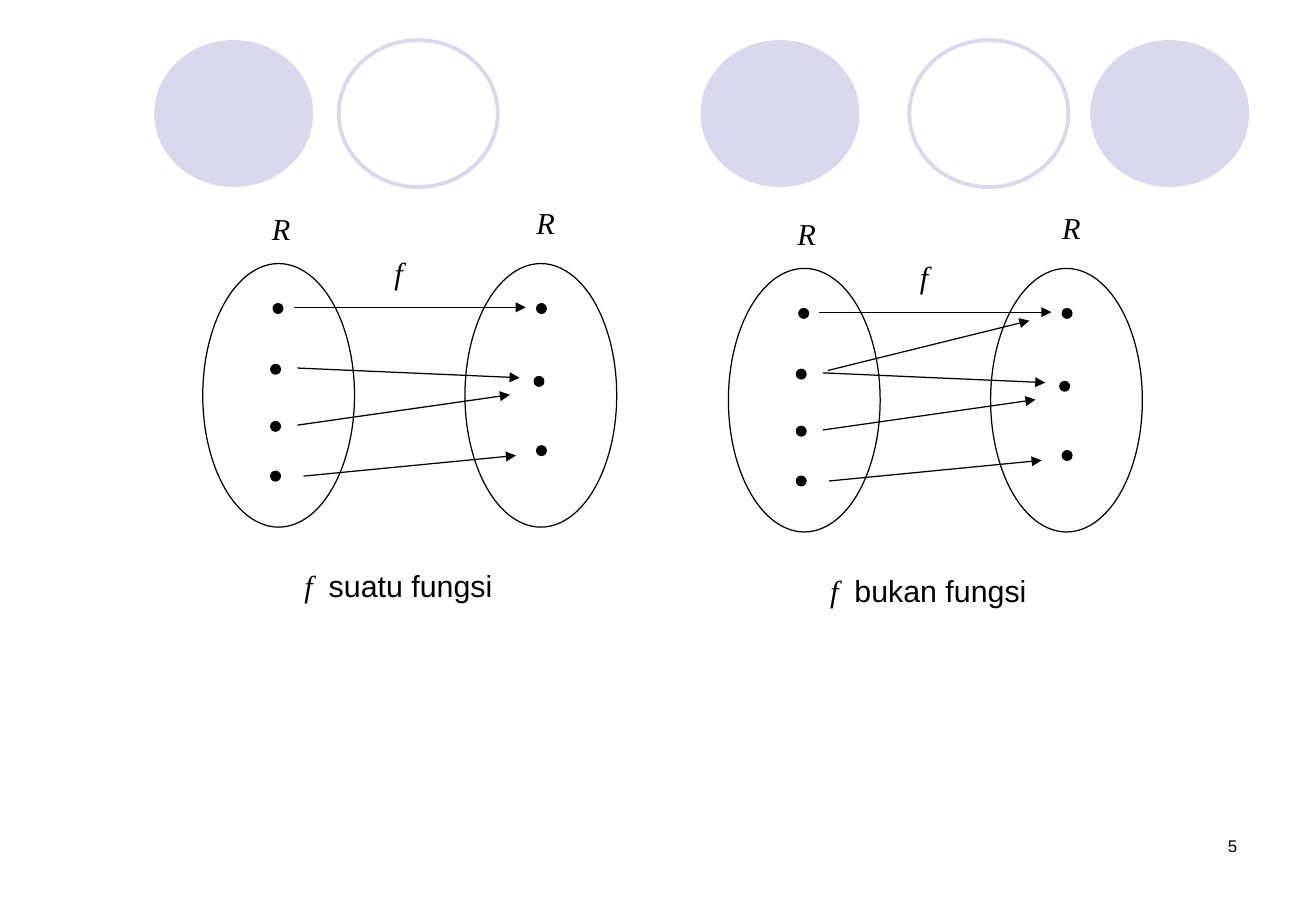
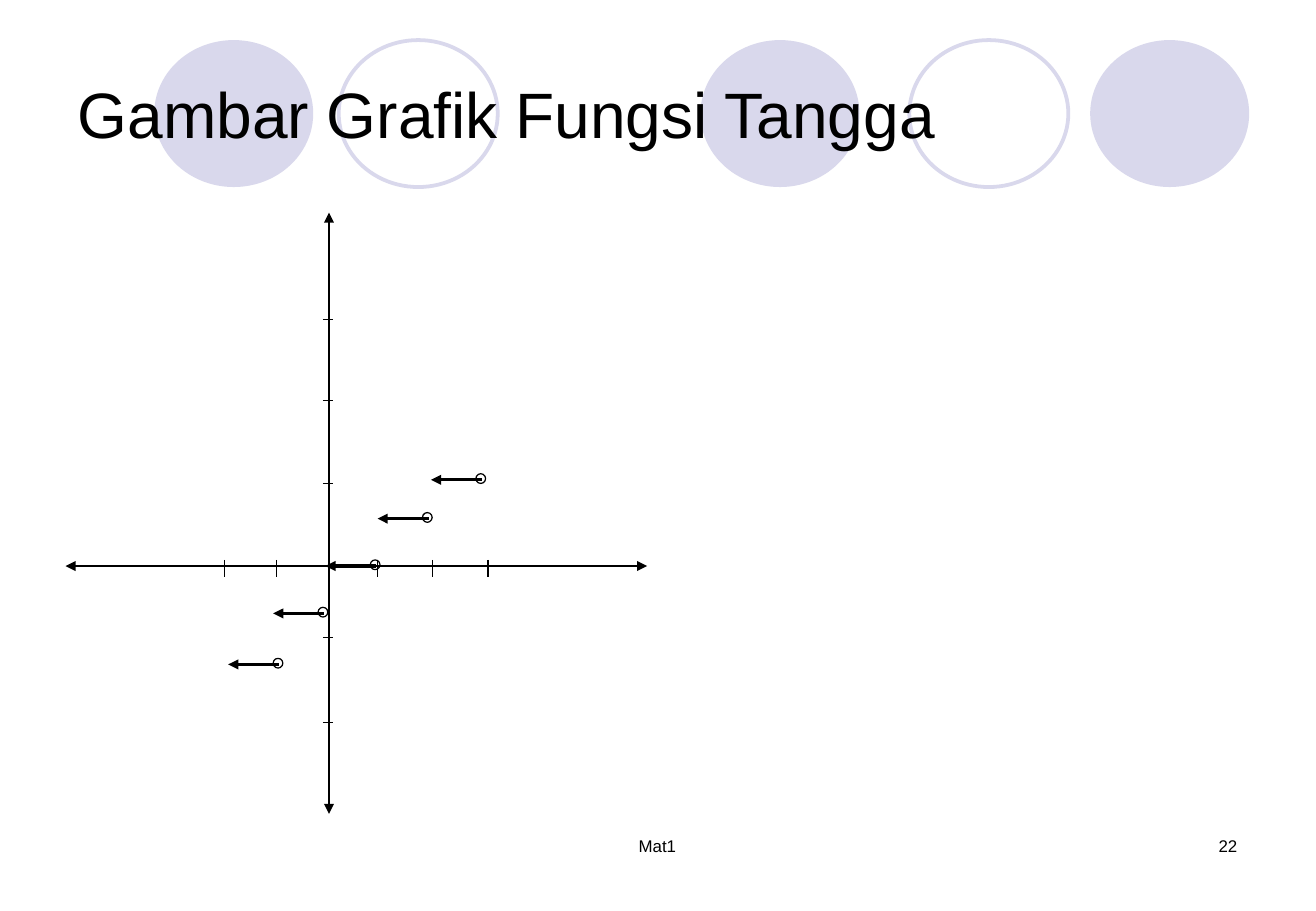
"""Build two slides on functions: arrow diagrams and a step function graph."""
from lxml import etree
from pptx import Presentation
from pptx.dml.color import RGBColor
from pptx.enum import shapes, text
from pptx.oxml import ns
from pptx.util import Inches, Pt

BLACK = RGBColor(0x00, 0x00, 0x00)
LAVENDER = RGBColor(0xD9, 0xD8, 0xEC)
SANS, SERIF = "Arial", "Times New Roman"
TITLE_ONLY, BLANK = 5, 6
DOT = 0.08
LEFT, CENTER, RIGHT = text.PP_ALIGN.LEFT, text.PP_ALIGN.CENTER, text.PP_ALIGN.RIGHT


def write(paragraph, content, *, font=SANS, size=18, italic=False, align=None):
    """Add a formatted run to a paragraph."""
    if align is not None:
        paragraph.alignment = align
    run = paragraph.add_run()
    run.text = content
    run.font.name = font
    run.font.size = Pt(size)
    run.font.italic = italic
    run.font.color.rgb = BLACK


class Deck:
    """Hold the presentation style and the current slide."""

    def __init__(self):
        self.presentation = Presentation()
        self.presentation.slide_width = Inches(10.84)
        self.presentation.slide_height = Inches(7.5)
        self.slide = None

    def new_slide(self, layout, number, footer=None):
        self.slide = self.presentation.slides.add_slide(
            self.presentation.slide_layouts[layout])
        if len(self.presentation.slides) == 1:
            self.master_circles()
        if footer:
            write(self.box(3.7, 6.83, 3.43, 0.5), footer, size=10, align=CENTER)
        write(self.box(7.76, 6.83, 2.53, 0.5), number, size=10, align=RIGHT)

    def master_circles(self):
        tree = self.presentation.slide_master.shapes.element
        circles = [(1.27, True), (2.79, False), (5.77, True), (7.49, False), (8.98, True)]
        for index, (left, filled) in enumerate(circles):
            circle = self.ellipse(left, 0.33, 1.31, 1.21,
                                  fill=LAVENDER if filled else None,
                                  line=None if filled else LAVENDER, weight=2.25)
            circle.element.nvSpPr.cNvPr.id = 100 + index
            tree.insert(2 + index, circle.element)

    def title(self, content):
        shape = self.slide.shapes.title
        shape.left, shape.top = Inches(0.54), Inches(0.3)
        shape.width, shape.height = Inches(9.75), Inches(1.25)
        frame = shape.text_frame
        frame.auto_size = text.MSO_AUTO_SIZE.NONE
        frame.vertical_anchor = text.MSO_ANCHOR.MIDDLE
        write(frame.paragraphs[0], content, size=38, align=LEFT)

    def box(self, left, top, width, height=0.4):
        shape = self.slide.shapes.add_textbox(
            Inches(left), Inches(top), Inches(width), Inches(height))
        shape.text_frame.word_wrap = True
        return shape.text_frame.paragraphs[0]

    def symbol(self, content, left, top, width):
        write(self.box(left, top, width), content, font=SERIF, italic=True)

    def caption(self, content, left, top):
        paragraph = self.box(left, top, 2)
        tabs = etree.SubElement(paragraph._p.get_or_add_pPr(), ns.qn("a:tabLst"))
        etree.SubElement(tabs, ns.qn("a:tab"), pos=str(Inches(0.2)), algn="l")
        write(paragraph, "f", font=SERIF, italic=True)
        write(paragraph, "\t" + content)

    def ellipse(self, left, top, width, height, fill=None, line=BLACK, weight=0.75):
        shape = self.slide.shapes.add_shape(
            shapes.MSO_SHAPE.OVAL,
            Inches(left), Inches(top), Inches(width), Inches(height))
        shape.shadow.inherit = False
        if fill is None:
            shape.fill.background()
        else:
            shape.fill.solid()
            shape.fill.fore_color.rgb = fill
        if line is None:
            shape.line.fill.background()
        else:
            shape.line.color.rgb = line
            shape.line.width = Pt(weight)
        return shape

    def line(self, start, end, weight=0.75, arrows=()):
        connector = self.slide.shapes.add_connector(
            shapes.MSO_CONNECTOR.STRAIGHT, *map(Inches, (*start, *end)))
        connector.line.color.rgb = BLACK
        connector.line.width = Pt(weight)
        properties = connector.element.spPr
        outline = properties.find(ns.qn("a:ln"))
        for arrow in arrows:
            etree.SubElement(outline, ns.qn(f"a:{arrow}"), type="triangle")
        etree.SubElement(properties, ns.qn("a:effectLst"))

    def mapping(self, dx, dy, caption, arrows):
        for left in (1.67, 3.83):
            self.ellipse(left + dx, 2.17 + dy, 1.25, 2.17)
        self.symbol("R", 2.14 + dx, 1.68 + dy, 0.35)
        self.symbol("R", 4.32 + dx, 1.63 + dy, 0.35)
        self.symbol("f", 3.15 + dx, 2.04 + dy, 0.27)
        domain = [(2.25, 2.5), (2.23, 3), (2.23, 3.47), (2.23, 3.88)]
        codomain = [(4.42, 2.5), (4.4, 3.1), (4.42, 3.67)]
        for left, top in domain + codomain:
            self.ellipse(left + dx, top + dy, DOT, DOT, fill=BLACK)
        for x1, y1, x2, y2 in arrows:
            self.line((x1 + dx, y1 + dy), (x2 + dx, y2 + dy), arrows=["tailEnd"])
        self.caption(caption, 2.41 + dx, 4.62 + dy)

    def axes(self, origin, x_ticks, y_ticks):
        x, y = origin
        both = ["headEnd", "tailEnd"]
        self.line((x, 1.75), (x, 6.7), arrows=both)
        self.line((0.54, y), (5.33, y), arrows=both)
        for tick in x_ticks:
            self.line((tick, y - 0.05), (tick, y + 0.09))
        for tick in y_ticks:
            self.line((x - 0.05, tick), (x + 0.03, tick))

    def step(self, left, y):
        self.line((left, y), (left + 0.42, y), weight=2, arrows=["headEnd"])
        self.ellipse(left + 0.37, y - 0.05, DOT, DOT)


def main():
    """Build and save both slides."""
    deck = Deck()

    deck.new_slide(BLANK, "5")
    arrows = [(2.42, 2.53, 4.33, 2.53), (2.45, 3.03, 4.28, 3.11),
              (2.45, 3.5, 4.2, 3.25), (2.5, 3.92, 4.25, 3.75)]
    deck.mapping(0, 0, "suatu fungsi", arrows)
    deck.mapping(4.33, 0.04, "bukan fungsi", arrows + [(2.49, 3.01, 4.15, 2.6)])

    deck.new_slide(TITLE_ONLY, "22", footer="Mat1")
    deck.title("Gambar Grafik Fungsi Tangga")
    deck.axes((2.71, 4.66), x_ticks=[1.85, 2.28, 3.11, 3.56, 4.02],
              y_ticks=[2.63, 3.3, 3.98, 5.25, 5.95])
    for left, y in [(1.88, 5.47), (2.25, 5.05), (2.68, 4.66), (3.11, 4.27), (3.55, 3.95)]:
        deck.step(left, y)

    deck.presentation.save("out.pptx")


if __name__ == "__main__":
    main()
